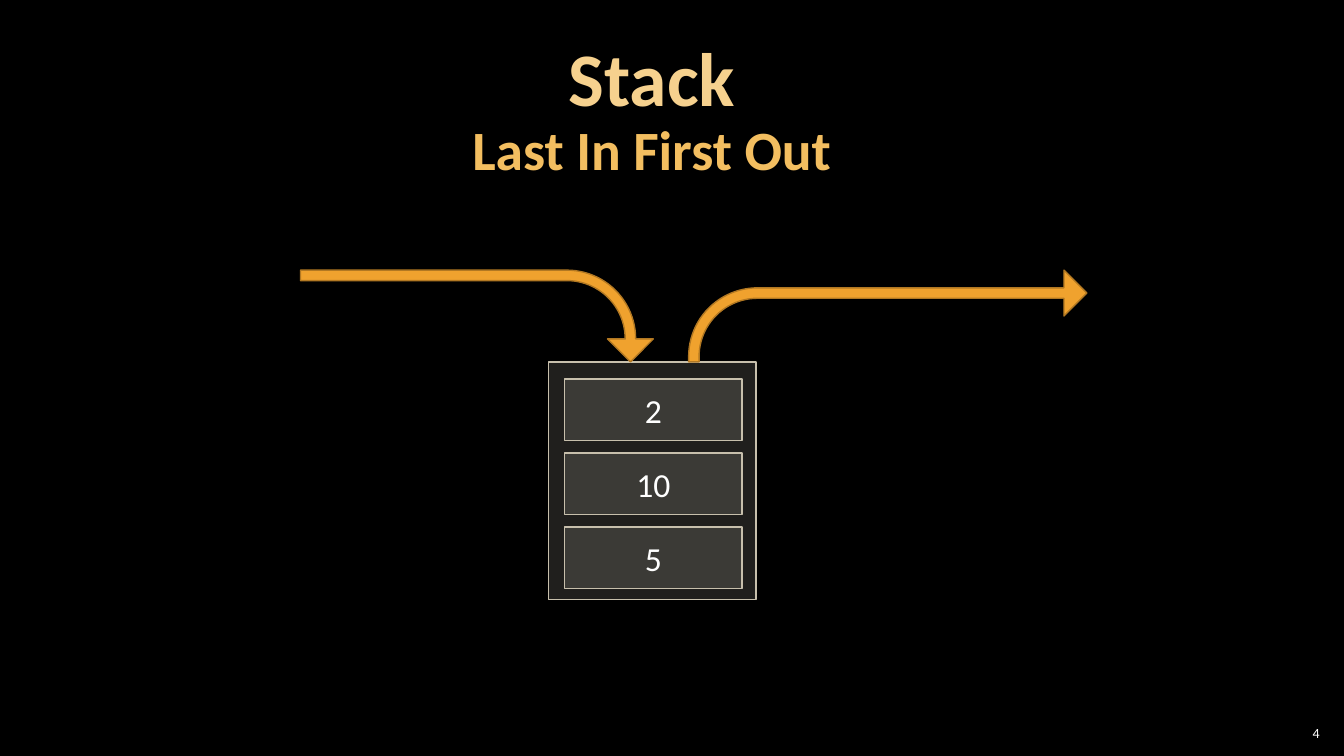
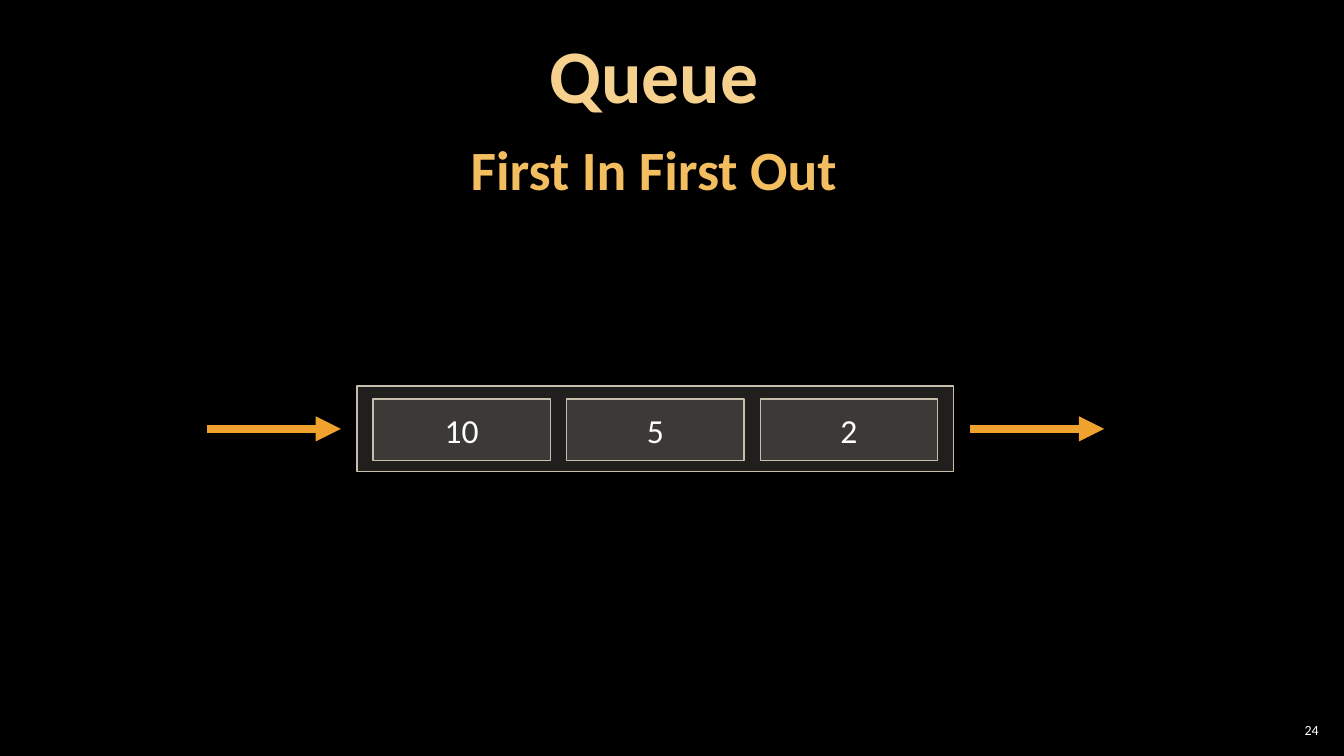
from dataclasses import dataclass

from lxml import etree
from pptx import Presentation
from pptx.dml.color import RGBColor
from pptx.enum.shapes import MSO_CONNECTOR, MSO_SHAPE
from pptx.enum.text import MSO_ANCHOR, MSO_AUTO_SIZE, PP_ALIGN
from pptx.oxml.ns import qn
from pptx.util import Inches, Pt

RECTANGLE = MSO_SHAPE.RECTANGLE
BENT_ARROW = MSO_SHAPE.BENT_ARROW
STRAIGHT = MSO_CONNECTOR.STRAIGHT
TOP, MIDDLE = MSO_ANCHOR.TOP, MSO_ANCHOR.MIDDLE
CENTER, RIGHT = PP_ALIGN.CENTER, PP_ALIGN.RIGHT
NO_AUTOFIT = MSO_AUTO_SIZE.NONE
TITLE_ONLY_LAYOUT = 5


@dataclass(frozen=True)
class Theme:
    font: str = "Calibri"
    background: str = "000000"
    title: str = "F6D18E"
    subtitle: str = "F3BE60"
    text: str = "FFFFFF"
    box_fill: str = "D9D5C7"
    box_opacity: int = 15
    box_line: str = "C7BFAC"
    arrow: str = "F0A22E"
    arrow_edge: str = "B27822"
    title_size: float = 54
    subtitle_size: float = 39.6
    value_size: float = 24
    number_size: float = 10
    edge_width: float = 1
    arrow_width: float = 6


THEME = Theme()
SLIDE_SIZE = (13.33, 7.5)
CELL_SIZE = (1.76, 0.61)
BENT_ADJUSTMENTS = (0.114, 0.25, 0.25, 0.75)
BENT_HEIGHT = 0.91
STRAIGHT_LENGTH = 1.33
STRAIGHT_GAP = 0.16

# Boxes are (left, top, width, height) in inches; step is the offset between cells.
STACK = {
    "title": "Stack", "subtitle": "Last In First Out", "subtitle_gap": 0,
    "title_box": (0.1, 0.37, 12.73, 2.08),
    "number": "4", "number_box": (12.66, 7.17, 0.47, 0.21),
    "container": (5.44, 3.59, 2.06, 2.36),
    "first_cell": (5.6, 3.76), "step": (0, 0.735),
    "values": ["2", "10", "5"],
}
QUEUE = {
    "title": "Queue", "subtitle": "First In First Out", "subtitle_gap": 16,
    "title_box": (-0.18, 0.34, 13.33, 1.64),
    "number": "24", "number_box": (12.65, 7.14, 0.47, 0.21),
    "container": (3.54, 3.83, 5.92, 0.85),
    "first_cell": (3.7, 3.96), "step": (1.92, 0),
    "values": ["10", "5", "2"],
}


def inches(*lengths):
    return [Inches(length) for length in lengths]


def color(value):
    return RGBColor.from_string(value)


def style_paragraph(paragraph, size, font_color, align, bold=False):
    paragraph.alignment = align
    font = paragraph.font
    font.name, font.size, font.bold = THEME.font, Pt(size), bold
    font.color.rgb = color(font_color)


def set_margins(frame, horizontal, vertical):
    frame.margin_left = frame.margin_right = Inches(horizontal)
    frame.margin_top = frame.margin_bottom = Inches(vertical)


def add_filled_shape(slide, kind, box, fill, line):
    shape = slide.shapes.add_shape(kind, *inches(*box))
    shape.shadow.inherit = False
    shape.fill.solid()
    shape.fill.fore_color.rgb = color(fill)
    shape.line.color.rgb = color(line)
    shape.line.width = Pt(THEME.edge_width)
    return shape


def add_translucent_box(slide, box):
    shape = add_filled_shape(slide, RECTANGLE, box, THEME.box_fill, THEME.box_line)
    fill_color = shape.fill._xPr.find(qn("a:solidFill"))[0]
    etree.SubElement(fill_color, qn("a:alpha"), val=str(THEME.box_opacity * 1000))
    return shape


def add_title(slide, content):
    title = slide.shapes.title
    title.left, title.top, title.width, title.height = inches(*content["title_box"])
    frame = title.text_frame
    frame.auto_size, frame.word_wrap, frame.vertical_anchor = NO_AUTOFIT, True, TOP
    set_margins(frame, 0.12, 0.04)
    frame.text = content["title"] + "\n" + content["subtitle"]
    heading, subtitle = frame.paragraphs
    style_paragraph(heading, THEME.title_size, THEME.title, CENTER, bold=True)
    style_paragraph(subtitle, THEME.subtitle_size, THEME.subtitle, CENTER, bold=True)
    for paragraph in frame.paragraphs:
        paragraph.line_spacing = 0.9
        paragraph.space_before = Pt(0)
    subtitle.space_before = Pt(content["subtitle_gap"])


def add_slide_number(slide, content):
    frame = slide.shapes.add_textbox(*inches(*content["number_box"])).text_frame
    frame.word_wrap, frame.vertical_anchor = True, MIDDLE
    set_margins(frame, 0.04, 0.04)
    frame.text = content["number"]
    style_paragraph(frame.paragraphs[0], THEME.number_size, THEME.text, RIGHT)


def add_cells(slide, content):
    """Draw the container and its row or column of values."""
    add_translucent_box(slide, content["container"])
    left, top = content["first_cell"]
    step_x, step_y = content["step"]
    for index, value in enumerate(content["values"]):
        box = (left + index * step_x, top + index * step_y, *CELL_SIZE)
        frame = add_translucent_box(slide, box).text_frame
        frame.word_wrap, frame.vertical_anchor = True, MIDDLE
        set_margins(frame, 0.2, 0.1)
        frame.text = value
        style_paragraph(frame.paragraphs[0], THEME.value_size, THEME.text, CENTER)


def add_bent_arrow(slide, left, bottom, width, turned=False):
    """Place a bent arrow by its visible box, turned by a quarter if asked."""
    top, height = bottom - BENT_HEIGHT, BENT_HEIGHT
    if turned:
        shift = (width - height) / 2
        left, top, width, height = left + shift, top - shift, height, width
    arrow = add_filled_shape(slide, BENT_ARROW, (left, top, width, height),
                             THEME.arrow, THEME.arrow_edge)
    arrow.rotation = 90 if turned else 0
    for index, adjustment in enumerate(BENT_ADJUSTMENTS):
        arrow.adjustments[index] = adjustment


def add_straight_arrow(slide, left, middle):
    arrow = slide.shapes.add_connector(
        STRAIGHT, *inches(left, middle, left + STRAIGHT_LENGTH, middle))
    arrow.line.color.rgb = color(THEME.arrow)
    arrow.line.width = Pt(THEME.arrow_width)
    etree.SubElement(arrow.line._get_or_add_ln(), qn("a:tailEnd"), type="triangle")
    etree.SubElement(arrow._element.spPr, qn("a:effectLst"))


def add_structure_slide(presentation, content):
    slide = presentation.slides.add_slide(presentation.slide_layouts[TITLE_ONLY_LAYOUT])
    add_slide_number(slide, content)
    add_title(slide, content)
    add_cells(slide, content)
    return slide


def main():
    presentation = Presentation()
    presentation.slide_width, presentation.slide_height = inches(*SLIDE_SIZE)
    background = presentation.slide_master.background.fill
    background.solid()
    background.fore_color.rgb = color(THEME.background)

    stack_slide = add_structure_slide(presentation, STACK)
    stack_top = STACK["container"][1]
    add_bent_arrow(stack_slide, 2.98, stack_top, 3.5, turned=True)
    add_bent_arrow(stack_slide, 6.83, stack_top, 3.95)

    queue_slide = add_structure_slide(presentation, QUEUE)
    left, top, width, height = QUEUE["container"]
    for start in (left - STRAIGHT_GAP - STRAIGHT_LENGTH, left + width + STRAIGHT_GAP):
        add_straight_arrow(queue_slide, start, top + height / 2)

    presentation.save("out.pptx")


if __name__ == "__main__":
    main()
